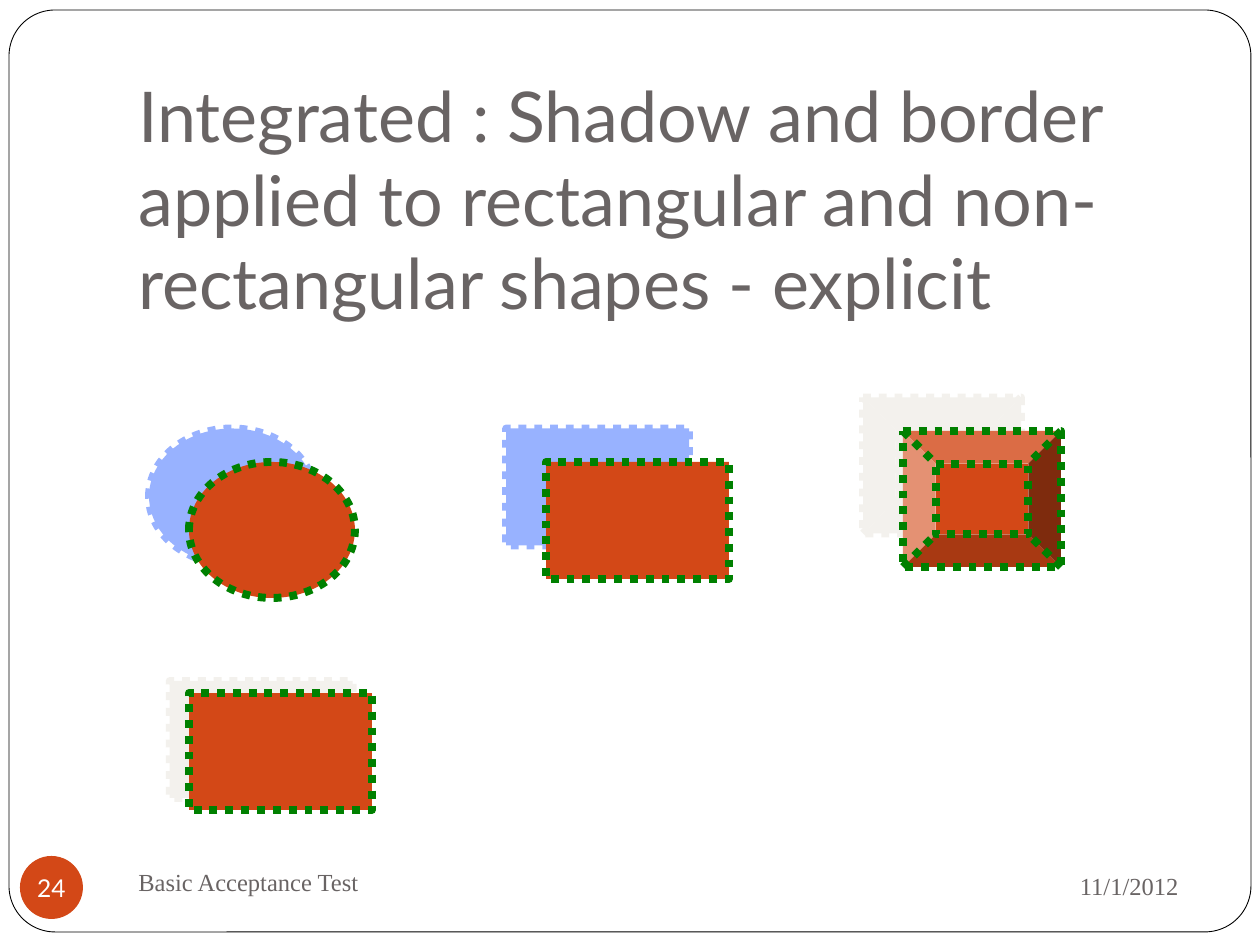
"""Build a slide of dotted-border shapes with offset shadows."""
import lxml.etree
import pptx
import pptx.dml.color
import pptx.enum.dml
import pptx.enum.shapes
import pptx.enum.text
import pptx.oxml.ns
import pptx.util

RGBColor = pptx.dml.color.RGBColor
Shape = pptx.enum.shapes.MSO_SHAPE
Align = pptx.enum.text.PP_ALIGN
Anchor = pptx.enum.text.MSO_ANCHOR

WHITE = RGBColor(0xFF, 0xFF, 0xFF)
BLACK = RGBColor(0x00, 0x00, 0x00)
GREY = RGBColor(0x69, 0x64, 0x64)
ORANGE = RGBColor(0xD3, 0x48, 0x17)
GREEN = RGBColor(0x00, 0x80, 0x00)
BLUE = RGBColor(0x33, 0x66, 0xFF)
CREAM = RGBColor(0xE9, 0xE5, 0xDC)
SANS = "Lato"
SERIF = "Times New Roman"


def px(length):
    return pptx.util.Emu(round(length * 914400 / 126))


class SlideBuilder:
    """Holds the style and the current slide."""

    def __init__(self, slide):
        self.slide = slide
        self.border = {
            "width": pptx.util.Pt(4.5),
            "dash_style": pptx.enum.dml.MSO_LINE.ROUND_DOT,
        }

    def label(self, item, text, font, size, color, align=Align.LEFT, **frame_format):
        frame = item.text_frame
        for name, value in frame_format.items():
            setattr(frame, name, value)
        para = frame.paragraphs[0]
        para.alignment = align
        span = para.add_run()
        span.text = text
        for name, value in {"name": font, "size": pptx.util.Pt(size)}.items():
            setattr(span.font, name, value)
        span.font.color.rgb = color

    def text(self, bounds, *style, **frame_format):
        box = self.slide.shapes.add_textbox(*map(px, bounds))
        self.label(box, *style, word_wrap=True, **frame_format)

    def shape(self, kind, bounds, fill, line=None, adjustment=None):
        shape = self.slide.shapes.add_shape(kind, *map(px, bounds))
        shape.shadow.inherit = False
        shape.fill.solid()
        shape.fill.fore_color.rgb = fill
        if line is None:
            shape.line.fill.background()
        else:
            shape.line.color.rgb = line
        if adjustment is not None:
            shape.adjustments[0] = adjustment
        return shape

    def shadowed(self, kind, bounds, shadow, distance, angle, adjustment=None):
        shape = self.shape(kind, bounds, ORANGE, GREEN, adjustment)
        for name, value in self.border.items():
            setattr(shape.line, name, value)
        qn = pptx.oxml.ns.qn
        effects = shape.element.spPr.find(qn("a:effectLst"))
        outer = lxml.etree.SubElement(
            effects, qn("a:outerShdw"), blurRad="0",
            dist=str(pptx.util.Pt(distance)), dir=str(angle * 60000),
            algn="ctr", rotWithShape="0")
        color = lxml.etree.SubElement(outer, qn("a:srgbClr"), val=str(shadow))
        lxml.etree.SubElement(color, qn("a:alpha"), val="50000")


def main():
    deck = pptx.Presentation()
    deck.slide_width, deck.slide_height = px(1260), px(945)
    page = SlideBuilder(deck.slides.add_slide(deck.slide_layouts[6]))

    frame = page.shape(Shape.ROUNDED_RECTANGLE, (9, 10, 1242, 922), WHITE, BLACK, 0.05)
    frame.line.width = pptx.util.Pt(0.5)

    page.text(
        (126, 38, 1071, 299),
        "Integrated : Shadow and border applied to rectangular and "
        "non-rectangular shapes - explicit",
        SANS, 40, GREY, vertical_anchor=Anchor.BOTTOM, margin_bottom=px(13))
    page.text((850, 853, 341, 66), "11/1/2012", SERIF, 14, GREY, Align.RIGHT,
              vertical_anchor=Anchor.MIDDLE)
    page.text((126, 850, 546, 63), "Basic Acceptance Test", SERIF, 14, GREY,
              vertical_anchor=Anchor.MIDDLE)

    badge = page.shape(Shape.OVAL, (20, 856, 63, 63), ORANGE)
    page.label(badge, "24", SANS, 14, WHITE, Align.CENTER, word_wrap=False,
               vertical_anchor=Anchor.MIDDLE, margin_left=0, margin_right=0,
               margin_top=0, margin_bottom=0)

    page.shadowed(Shape.RECTANGLE, (546, 462, 183, 117), BLUE, 29.8, 220)
    page.shadowed(Shape.OVAL, (189, 462, 166, 136), BLUE, 29.8, 220)
    page.shadowed(Shape.BEVEL, (903, 431, 158, 136), CREAM, 29.8, 220, 0.24)
    page.shadowed(Shape.RECTANGLE, (189, 693, 183, 117), CREAM, 13, 212)

    deck.save("out.pptx")


if __name__ == "__main__":
    main()
